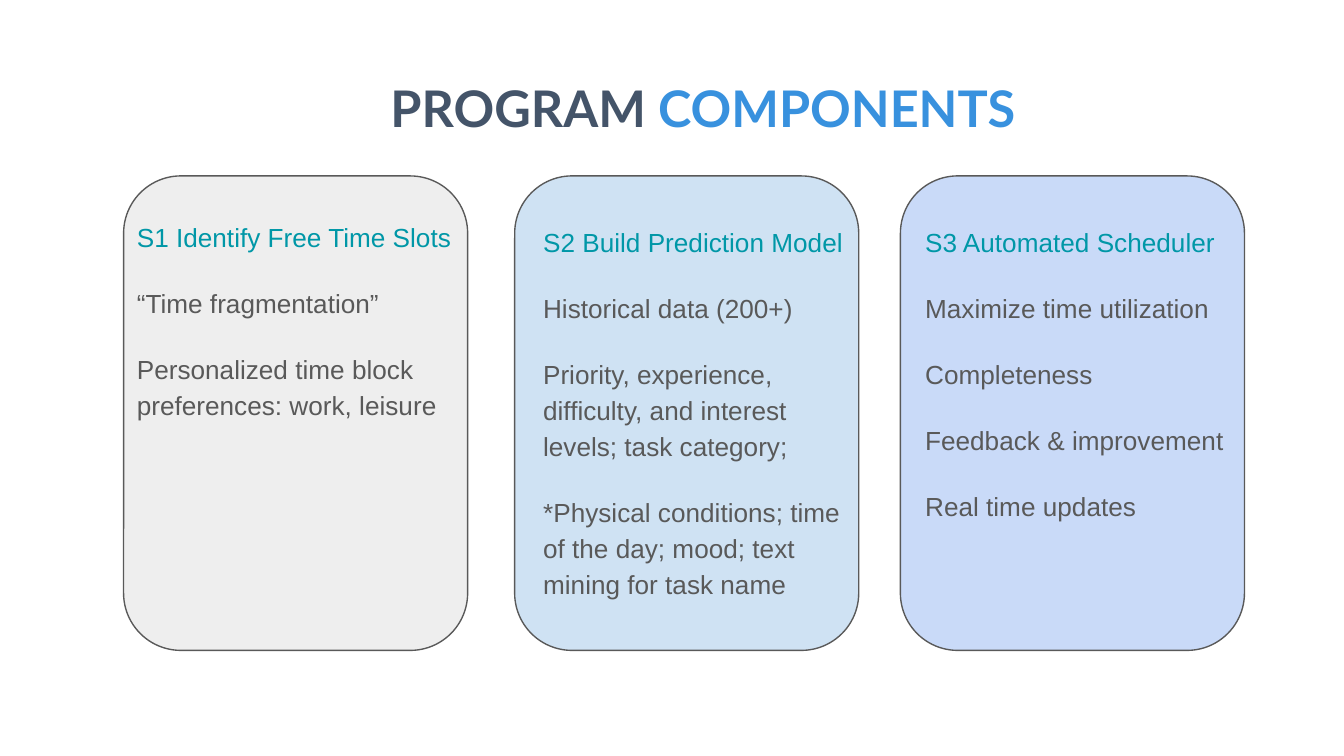
"""Build the program components slide: a title above three rounded cards."""
from pptx import Presentation
from pptx.dml.color import RGBColor
from pptx.enum.shapes import MSO_SHAPE
from pptx.enum.text import MSO_ANCHOR, PP_ALIGN
from pptx.util import Inches, Pt

NAVY = RGBColor(0x44, 0x54, 0x69)
BLUE = RGBColor(0x38, 0x91, 0xDE)
TEAL = RGBColor(0x00, 0x97, 0xA7)
GRAY = RGBColor(0x59, 0x59, 0x59)
PALE = RGBColor(0xEE, 0xEE, 0xEE)
SKY = RGBColor(0xCF, 0xE2, 0xF3)
LILAC = RGBColor(0xC9, 0xDA, 0xF8)

deck = Presentation()
deck.slide_width, deck.slide_height = Inches(10), Inches(10) * 9 // 16
slide = deck.slides.add_slide(deck.slide_layouts[6])


def place(left, top, width, height):
    wide, high = deck.slide_width / 100, deck.slide_height / 100
    return int(left * wide), int(top * high), int(width * wide), int(height * high)


def add_text(area, lines, font, size, bold, space):
    frame = slide.shapes.add_textbox(*place(*area)).text_frame
    frame.word_wrap = True
    frame.vertical_anchor = MSO_ANCHOR.TOP
    frame.margin_left = frame.margin_right = Inches(0.1)
    frame.margin_top = frame.margin_bottom = Inches(0.1)
    for row, line in enumerate(lines):
        para = frame.add_paragraph() if row else frame.paragraphs[0]
        para.line_spacing = space
        if row:
            para.space_before = Pt(16)
        for words, color in line:
            run = para.add_run()
            run.text = words
            run.font.name, run.font.size, run.font.bold = font, Pt(size), bold
            run.font.color.rgb = color
    return frame


title = add_text((5.7, 8.53, 93.2, 11.2),
                 [[("PROGRAM ", NAVY), ("COMPONENTS", BLUE)]], "Lato", 27, True, 1.03)
title.vertical_anchor = MSO_ANCHOR.MIDDLE
title.paragraphs[0].alignment = PP_ALIGN.CENTER

cards = [
    (9.2, PALE, (9.2, 26.9, 26), "S1 Identify Free Time Slots", [
        "“Time fragmentation”",
        "Personalized time block preferences: work, leisure"]),
    (38.3, SKY, (39.43, 27.6, 24.6), "S2 Build Prediction Model", [
        "Historical data (200+)",
        "Priority, experience, difficulty, and interest levels; task category;",
        "*Physical conditions; time of the day; mood; text mining for task name"]),
    (67, LILAC, (67.85, 27.6, 27.2), "S3 Automated Scheduler", [
        "Maximize time utilization",
        "Completeness",
        "Feedback & improvement",
        "Real time updates"]),
]
for left, fill, area, head, points in cards:
    card = slide.shapes.add_shape(MSO_SHAPE.ROUNDED_RECTANGLE,
                                  *place(left, 23.27, 25.6, 62.76))
    card.shadow.inherit = False
    card.fill.solid()
    card.fill.fore_color.rgb = fill
    card.line.color.rgb = GRAY
    card.line.width = Pt(0.75)
    lines = [[(head, TEAL)]] + [[(point, GRAY)] for point in points]
    add_text((*area, 60.09), lines, "Arial", 14, False, 1.15)

deck.save("out.pptx")
